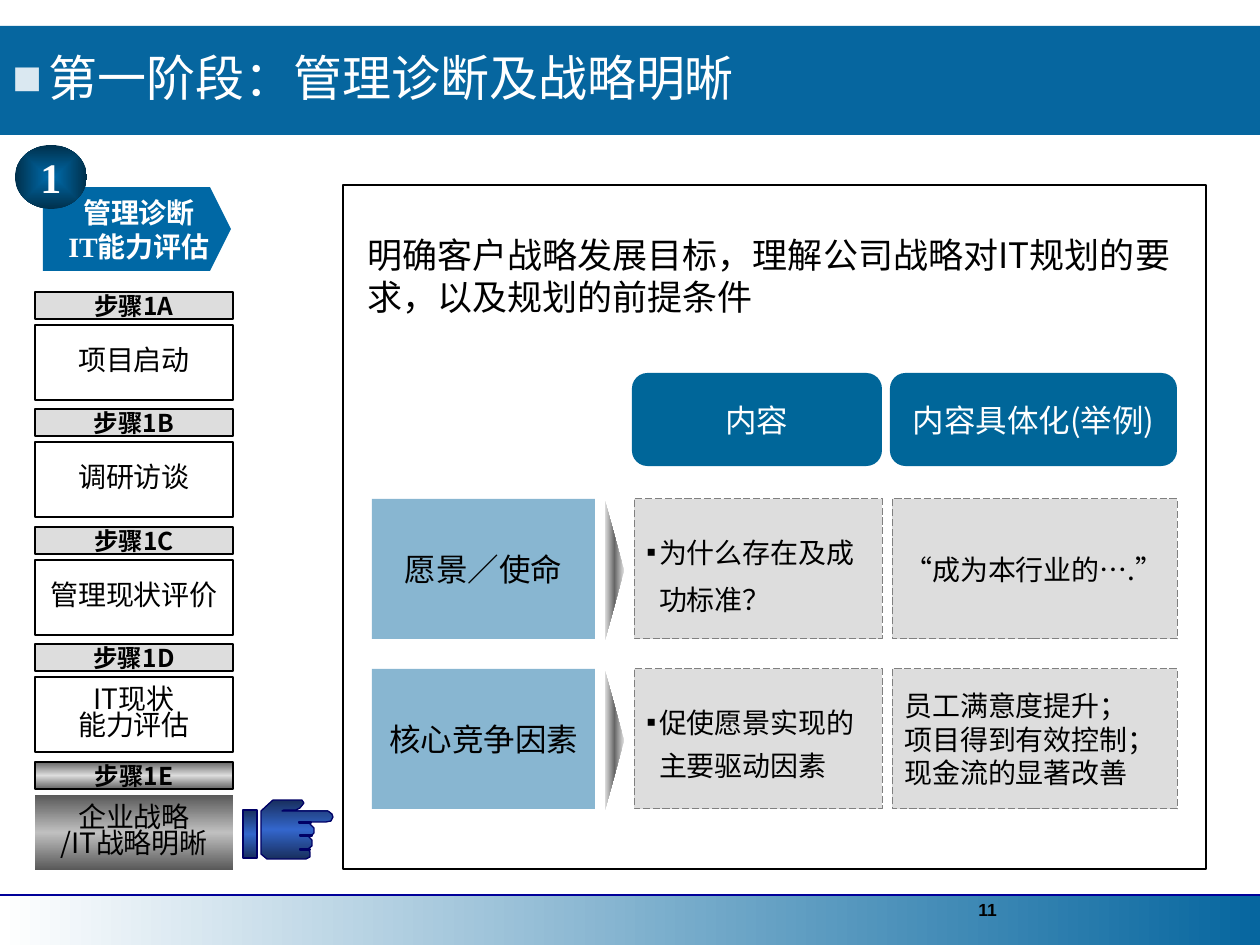
"""Build the phase-one slide on management diagnosis and strategy clarification."""
from dataclasses import dataclass
from typing import Any, Optional, Union

import pptx
import pptx.dml.color
import pptx.enum.dml
import pptx.enum.lang
import pptx.enum.shapes
import pptx.enum.text
import pptx.oxml
import pptx.oxml.ns
import pptx.util

SCALE = 914400 / 126
SHAPE = pptx.enum.shapes.MSO_SHAPE
ALIGN = pptx.enum.text.PP_ALIGN
ANCHOR = pptx.enum.text.MSO_ANCHOR
Points = list[tuple[int, int]]


@dataclass(frozen=True)
class Gradient:
    colors: tuple[str, ...]
    angle: int = 0
    centred: bool = False
    turns: bool = True


@dataclass(frozen=True)
class Theme:
    sans: str = "Noto Sans CJK SC"
    arial: str = "Arial"
    serif: str = "Times New Roman"
    white: str = "FFFFFF"
    black: str = "000000"
    banner: str = "06669F"
    header: str = "006699"
    label: str = "88B6D1"
    grey: str = "DDDDDD"
    dash: str = "808080"
    rule: str = "000099"
    phase: str = "0068A5"
    title_bullet: str = "DAE8F1"
    hand_line: str = "000066"
    footer: Gradient = Gradient(("FFFFFF", "06669F"))
    arrow: Gradient = Gradient(("DDDDDD", "666666", "DDDDDD"), turns=False)
    badge: Gradient = Gradient(("0068A5", "00304C"), centred=True)
    current_step: Gradient = Gradient(("666666", "DDDDDD", "666666"), 90)
    current_name: Gradient = Gradient(("595959", "C0C0C0", "595959"), 90)
    hand: Gradient = Gradient(("182F5E", "3366CC", "182F5E"), 90)
    title_size: int = 28
    badge_size: int = 24
    lead_size: int = 20
    heading_size: int = 18
    body_size: int = 16
    step_size: int = 14
    page_size: int = 10


THEME = Theme()
Fill = Optional[Union[str, Gradient]]


@dataclass(frozen=True)
class Box:
    left: int
    top: int
    width: int
    height: int

    def emu(self) -> list[int]:
        return [round(value * SCALE) for value in (self.left, self.top, self.width, self.height)]


@dataclass(frozen=True)
class TextStyle:
    size: int
    color: str = THEME.black
    font: str = THEME.sans
    bold: bool = False
    align: Any = ALIGN.CENTER
    anchor: Any = ANCHOR.MIDDLE
    wrap: bool = True
    spacing: Optional[float] = None
    bullet: str = ""
    bullet_color: str = THEME.black
    indent: float = 0.1


@dataclass(frozen=True)
class Outline:
    color: str
    width: float = 0.75
    dashed: bool = False


@dataclass(frozen=True)
class Step:
    code: str
    name: str
    current: bool = False


@dataclass(frozen=True)
class Row:
    label: str
    content: str
    example: str
    spacing: float


BLACK_LINE = Outline(THEME.black)
DASHED_LINE = Outline(THEME.dash, 0.5, True)
HAND_LINE = Outline(THEME.hand_line)
HEADING = TextStyle(THEME.heading_size, THEME.white, wrap=False)
LABEL = TextStyle(THEME.heading_size, wrap=False)
EXAMPLE = TextStyle(THEME.body_size, align=ALIGN.LEFT)
STEP_CODE = TextStyle(THEME.step_size, bold=True, wrap=False)
STEP_NAME = TextStyle(THEME.body_size, spacing=0.8)
PHASE = TextStyle(THEME.body_size, THEME.white, THEME.serif, True)
BADGE = TextStyle(THEME.badge_size, THEME.white, THEME.serif, True, wrap=False)
LEAD = TextStyle(THEME.lead_size, align=ALIGN.LEFT, anchor=ANCHOR.TOP)
PAGE = TextStyle(THEME.page_size, font=THEME.arial, bold=True, align=ALIGN.LEFT, anchor=ANCHOR.TOP)
TITLE = TextStyle(THEME.title_size, THEME.white, THEME.arial, align=ALIGN.LEFT, spacing=0.9,
                  bullet="■", bullet_color=THEME.title_bullet, indent=0.29)

STEPS = [Step("步骤1A", "项目启动"), Step("步骤1B", "调研访谈"), Step("步骤1C", "管理现状评价"),
         Step("步骤1D", "IT现状\n能力评估"), Step("步骤1E", "企业战略\n/IT战略明晰", True)]
ROWS = [Row("愿景／使命", "为什么存在及成功标准？", "“成为本行业的….”", 1.4),
        Row("核心竞争因素", "促使愿景实现的主要驱动因素",
            "员工满意度提升；\n项目得到有效控制；现金流的显著改善", 1.3)]
PHASE_POINTS = [(43, 187), (210, 187), (231, 229), (210, 271), (43, 271)]
HAND_POINTS = [(326, 822), (310, 822), (310, 824), (314, 828), (314, 833), (311, 836), (309, 837),
               (312, 840), (312, 846), (308, 849), (310, 852), (310, 857), (306, 859), (267, 859),
               (261, 854), (261, 811), (273, 800), (302, 800), (304, 803), (300, 808), (296, 810),
               (284, 810), (282, 811), (328, 811), (332, 814), (333, 817), (331, 821)]
HAND_CREASES = [Box(300, 835, 12, 1), Box(300, 849, 10, 1), Box(299, 822, 12, 1)]


def add_xml(parent: Any, tag: str, **attributes: str) -> Any:
    child = parent.makeelement(pptx.oxml.ns.qn(tag), attributes)
    parent.append(child)
    return child


def apply_gradient(shape: Any, gradient: Gradient) -> None:
    shape.fill.gradient()
    element = shape._element.spPr.find(pptx.oxml.ns.qn("a:gradFill"))
    for child in list(element):
        element.remove(child)
    element.set("rotWithShape", "1" if gradient.turns else "0")
    stops = add_xml(element, "a:gsLst")
    for index, color in enumerate(gradient.colors):
        position = 100000 * index // (len(gradient.colors) - 1)
        add_xml(add_xml(stops, "a:gs", pos=str(position)), "a:srgbClr", val=color)
    if gradient.centred:
        centre = dict.fromkeys("ltrb", "50000")
        add_xml(add_xml(element, "a:path", path="rect"), "a:fillToRect", **centre)
    else:
        add_xml(element, "a:lin", ang=str(gradient.angle * 60000), scaled="0")


def paint(shape: Any, fill: Fill, outline: Optional[Outline] = None) -> None:
    shape.shadow.inherit = False
    if isinstance(fill, Gradient):
        apply_gradient(shape, fill)
    elif fill:
        shape.fill.solid()
        shape.fill.fore_color.rgb = pptx.dml.color.RGBColor.from_string(fill)
    else:
        shape.fill.background()
    if not outline:
        shape.line.fill.background()
        return
    shape.line.color.rgb = pptx.dml.color.RGBColor.from_string(outline.color)
    shape.line.width = pptx.util.Pt(outline.width)
    if outline.dashed:
        shape.line.dash_style = pptx.enum.dml.MSO_LINE.LONG_DASH


def write(shape: Any, text: str, style: TextStyle) -> None:
    frame = shape.text_frame
    frame.text = text
    frame.word_wrap = style.wrap
    frame.vertical_anchor = style.anchor
    for paragraph in frame.paragraphs:
        paragraph.alignment = style.align
        if style.spacing:
            paragraph.line_spacing = style.spacing
        if style.bullet:
            properties = paragraph._p.get_or_add_pPr()
            indent = pptx.util.Inches(style.indent)
            properties.set("marL", str(indent))
            properties.set("indent", str(-indent))
            add_xml(add_xml(properties, "a:buClr"), "a:srgbClr", val=style.bullet_color)
            add_xml(properties, "a:buFont", typeface=THEME.arial)
            add_xml(properties, "a:buChar", char=style.bullet)
        for run in paragraph.runs:
            run.font.size = pptx.util.Pt(style.size)
            run.font.bold = style.bold
            run.font.name = style.font
            run.font.language_id = pptx.enum.lang.MSO_LANGUAGE_ID.SIMPLIFIED_CHINESE
            run.font.color.rgb = pptx.dml.color.RGBColor.from_string(style.color)
            add_xml(run._r.get_or_add_rPr(), "a:ea", typeface=THEME.sans)


def add_box(shapes: Any, box: Box, fill: Fill = None, outline: Optional[Outline] = None,
            text: str = "", style: Optional[TextStyle] = None, kind: Any = SHAPE.RECTANGLE) -> Any:
    shape = shapes.add_shape(kind, *box.emu())
    paint(shape, fill, outline)
    if style:
        write(shape, text, style)
    return shape


def add_text(shapes: Any, box: Box, text: str, style: TextStyle) -> None:
    write(shapes.add_textbox(*box.emu()), text, style)


def add_outline(shapes: Any, points: Points, fill: Fill, outline: Optional[Outline] = None) -> None:
    builder = shapes.build_freeform(*points[0], scale=SCALE)
    builder.add_line_segments(points[1:], close=True)
    paint(builder.convert_to_shape(), fill, outline)


def draw_frame(shapes: Any) -> None:
    add_box(shapes, Box(0, 896, 1260, 51), THEME.footer)
    ends = [round(value * SCALE) for value in (-1, 895, 1261, 895)]
    rule = shapes.add_connector(pptx.enum.shapes.MSO_CONNECTOR.STRAIGHT, *ends)
    rule.line.color.rgb = pptx.dml.color.RGBColor.from_string(THEME.rule)
    rule.line.width = pptx.util.Pt(1)
    add_xml(rule._element.spPr, "a:effectLst")
    banner = Box(0, 26, 1260, 109)
    add_box(shapes, banner, THEME.banner)
    add_text(shapes, banner, "第一阶段：管理诊断及战略明晰", TITLE)
    add_text(shapes, Box(966, 893, 294, 45), "11", PAGE)


def draw_row(shapes: Any, row: Row, top: int) -> None:
    content = TextStyle(THEME.body_size, align=ALIGN.LEFT, spacing=row.spacing, bullet="▪")
    label = add_box(shapes, Box(372, top, 223, 140), THEME.label, None, row.label, LABEL)
    frame = label.text_frame
    frame.margin_left = frame.margin_right = frame.margin_top = frame.margin_bottom = 0
    add_box(shapes, Box(634, top, 248, 140), THEME.grey, DASHED_LINE, row.content, content)
    add_box(shapes, Box(892, top, 285, 140), THEME.grey, DASHED_LINE, row.example, EXAMPLE)
    arrow = add_box(shapes, Box(545, top + 62, 139, 19), THEME.arrow, kind=SHAPE.ISOSCELES_TRIANGLE)
    arrow.rotation = 90


def draw_panel(shapes: Any) -> None:
    add_box(shapes, Box(343, 185, 863, 684), None, BLACK_LINE)
    add_text(shapes, Box(355, 227, 830, 97),
             "明确客户战略发展目标，理解公司战略对IT规划的要求，以及规划的前提条件", LEAD)
    for text, left, width in (("内容", 632, 250), ("内容具体化(举例)", 890, 287)):
        add_box(shapes, Box(left, 373, width, 93), THEME.header, None, text, HEADING,
                SHAPE.ROUNDED_RECTANGLE)
    for index, row in enumerate(ROWS):
        draw_row(shapes, row, 499 + 170 * index)


def draw_steps(shapes: Any) -> None:
    add_outline(shapes, PHASE_POINTS, THEME.phase)
    add_box(shapes, Box(15, 145, 72, 64), THEME.badge, None, "1", BADGE, SHAPE.OVAL)
    add_text(shapes, Box(40, 193, 198, 72), "管理诊断\nIT能力评估", PHASE)
    for index, step in enumerate(STEPS):
        top = 292 + 235 * index // 2
        code_fill = THEME.current_step if step.current else THEME.grey
        name_fill = THEME.current_name if step.current else None
        name_line = None if step.current else BLACK_LINE
        add_box(shapes, Box(35, top, 198, 27), code_fill, BLACK_LINE, step.code, STEP_CODE)
        add_box(shapes, Box(35, top + 33, 198, 75), name_fill, name_line, step.name, STEP_NAME)


def draw_hand(shapes: Any) -> None:
    add_box(shapes, Box(243, 810, 14, 48), THEME.hand, HAND_LINE)
    add_outline(shapes, HAND_POINTS, THEME.hand, HAND_LINE)
    for crease in HAND_CREASES:
        add_box(shapes, crease, THEME.hand, HAND_LINE)


def main() -> None:
    presentation = pptx.Presentation()
    presentation.slide_width = pptx.util.Inches(10)
    presentation.slide_height = pptx.util.Inches(7.5)
    slide = presentation.slides.add_slide(presentation.slide_layouts[6])
    draw_frame(slide.shapes)
    draw_panel(slide.shapes.add_group_shape().shapes)
    draw_steps(slide.shapes)
    draw_hand(slide.shapes.add_group_shape().shapes)
    presentation.save("out.pptx")


if __name__ == "__main__":
    main()
